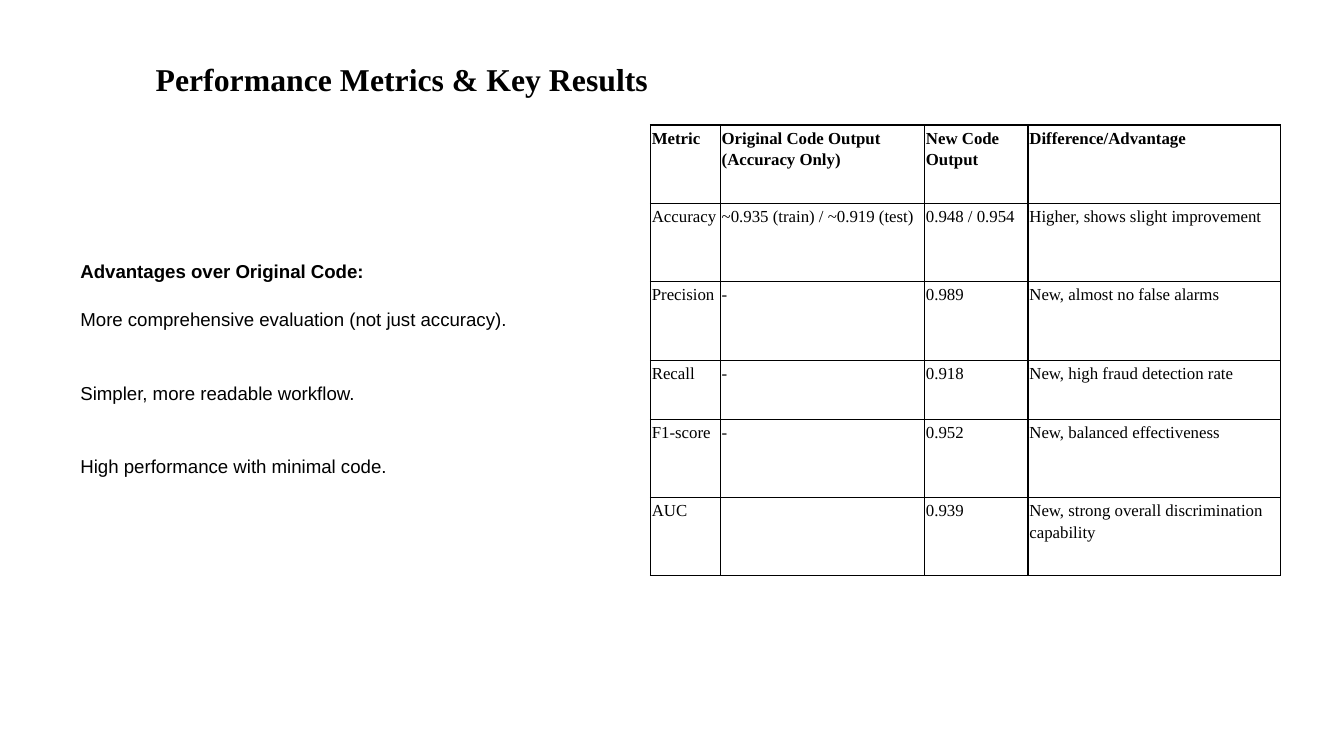
"""Build a slide that compares model performance metrics in a table."""
from lxml.etree import SubElement
from pptx import Presentation
from pptx.dml.color import RGBColor
from pptx.enum.text import MSO_ANCHOR
from pptx.oxml.ns import qn
from pptx.util import Inches, Pt

BLACK = RGBColor(0x00, 0x00, 0x00)
SERIF = "Times New Roman"
SANS = "Arial"
LINE_SPACING = 1.15
TITLE = "Performance Metrics & Key Results"
ADVANTAGES = [
    ("Advantages over Original Code:", 0),
    ("More comprehensive evaluation (not just accuracy).", 12),
    ("Simpler, more readable workflow.", 25.5),
    ("High performance with minimal code.", 25.5),
]
COLUMN_WIDTHS = [0.52, 1.52, 0.77, 1.88]
TALL_ROW = 7 / 12
SHORT_ROW = 0.44
ROW_HEIGHTS = [TALL_ROW] * 3 + [SHORT_ROW] + [TALL_ROW] * 2
METRICS = [
    ("Metric", "Original Code Output (Accuracy Only)", "New Code Output", "Difference/Advantage"),
    ("Accuracy", "~0.935 (train) / ~0.919 (test)", "0.948 / 0.954", "Higher, shows slight improvement"),
    ("Precision", "-", "0.989", "New, almost no false alarms"),
    ("Recall", "-", "0.918", "New, high fraud detection rate"),
    ("F1-score", "-", "0.952", "New, balanced effectiveness"),
    ("AUC", "", "0.939", "New, strong overall discrimination capability"),
]


def set_margins(target, margin):
    target.margin_left = target.margin_right = Inches(margin)
    target.margin_top = target.margin_bottom = Inches(margin)


def style_paragraph(paragraph, font_name, size, bold):
    paragraph.line_spacing = LINE_SPACING
    paragraph.font.name = font_name
    paragraph.font.size = Pt(size)
    paragraph.font.bold = bold
    paragraph.font.color.rgb = BLACK


def add_text_frame(slide, left, top, width, height, anchor):
    box = slide.shapes.add_textbox(Inches(left), Inches(top), Inches(width), Inches(height))
    frame = box.text_frame
    frame.word_wrap = True
    frame.vertical_anchor = anchor
    set_margins(frame, 0.1)
    return frame


def add_title(slide):
    frame = add_text_frame(slide, 1.06, 0.35, 4.48, 0.43, MSO_ANCHOR.MIDDLE)
    frame.text = TITLE
    style_paragraph(frame.paragraphs[0], SERIF, 17, True)


def add_advantages(slide):
    frame = add_text_frame(slide, 0.5, 1.81, 3.78, 2.33, MSO_ANCHOR.TOP)
    for index, (text, space_before) in enumerate(ADVANTAGES):
        paragraph = frame.add_paragraph() if index else frame.paragraphs[0]
        paragraph.text = text
        paragraph.space_before = Pt(space_before)
        style_paragraph(paragraph, SANS, 10, index == 0)


def add_borders(cell):
    properties = cell._tc.get_or_add_tcPr()
    for side in ("a:lnL", "a:lnR", "a:lnT", "a:lnB"):
        line = SubElement(properties, qn(side), w=str(Pt(0.68)))
        fill = SubElement(line, qn("a:solidFill"))
        SubElement(fill, qn("a:srgbClr"), val=str(BLACK))


def fill_cell(cell, text, bold):
    cell.text = text
    set_margins(cell, 0.01)
    add_borders(cell)
    cell.fill.background()
    style_paragraph(cell.text_frame.paragraphs[0], SERIF, 9, bold)


def add_metrics_table(slide):
    table = slide.shapes.add_table(
        len(METRICS), len(COLUMN_WIDTHS), Inches(4.84), Inches(0.93),
        Inches(sum(COLUMN_WIDTHS)), Inches(sum(ROW_HEIGHTS)),
    ).table
    table.first_row = False
    table.horz_banding = False
    for column, width in zip(table.columns, COLUMN_WIDTHS):
        column.width = Inches(width)
    for row_index, (row, height) in enumerate(zip(table.rows, ROW_HEIGHTS)):
        row.height = Inches(height)
        for cell, text in zip(row.cells, METRICS[row_index]):
            fill_cell(cell, text, row_index == 0)


def main():
    presentation = Presentation()
    presentation.slide_width = Inches(10)
    presentation.slide_height = Inches(10 * 9 / 16)
    slide = presentation.slides.add_slide(presentation.slide_layouts[6])
    add_advantages(slide)
    add_title(slide)
    add_metrics_table(slide)
    presentation.save("out.pptx")


if __name__ == "__main__":
    main()
